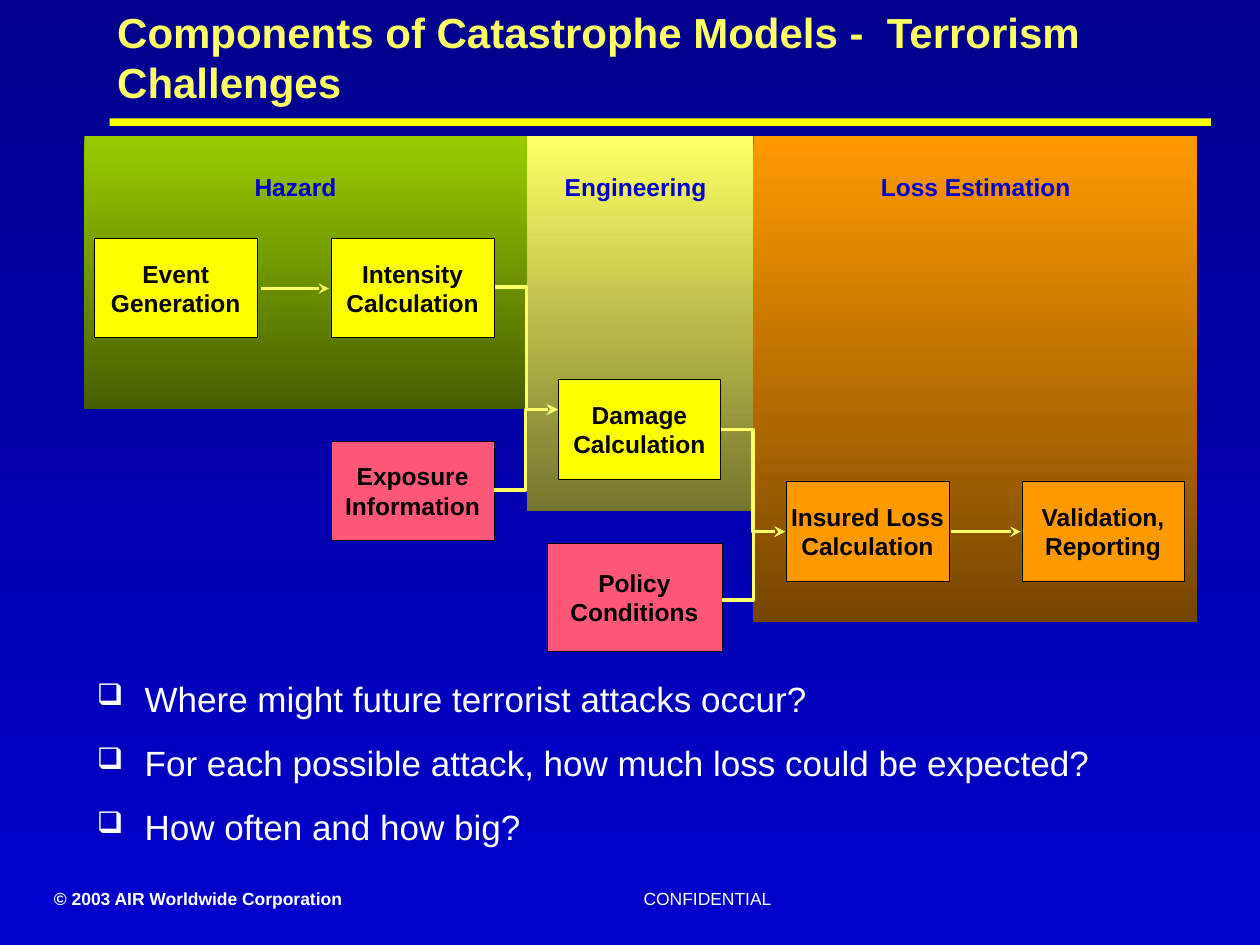
import pptx
import pptx.dml.color
import pptx.enum.shapes
import pptx.enum.text
import pptx.oxml
import pptx.oxml.ns
import pptx.util
import lxml.etree

ALIGN = pptx.enum.text.PP_ALIGN
ANCHOR = pptx.enum.text.MSO_ANCHOR
RECTANGLE = pptx.enum.shapes.MSO_SHAPE.RECTANGLE
qn = pptx.oxml.ns.qn


def hue(code):
    return pptx.dml.color.RGBColor.from_string(code)


def write(frame, text, size=14, color="000000", bold=True, align=ALIGN.LEFT,
          anchor=ANCHOR.TOP, wrap=True, bullet=None, before=0, after=0):
    frame.word_wrap = wrap
    frame.vertical_anchor = anchor
    for index, line in enumerate(text.split("\n")):
        paragraph = frame.add_paragraph() if index else frame.paragraphs[0]
        paragraph.alignment = align
        paragraph.space_before = pptx.util.Pt(before if index else 0)
        paragraph.space_after = pptx.util.Pt(after)
        if bullet:
            properties = paragraph._p.get_or_add_pPr()
            indent = pptx.util.Inches(0.38)
            properties.set("marL", str(indent))
            properties.set("indent", str(-indent))
            tint = lxml.etree.SubElement(properties, qn("a:buClr"))
            lxml.etree.SubElement(tint, qn("a:srgbClr"), val=color)
            lxml.etree.SubElement(properties, qn("a:buSzPct"), val="85000")
            lxml.etree.SubElement(properties, qn("a:buChar"), char=bullet)
        run = paragraph.add_run()
        run.text = line
        run.font.name = "Arial"
        run.font.size = pptx.util.Pt(size)
        run.font.bold = bold
        run.font.color.rgb = hue(color)


deck = pptx.Presentation()
deck.slide_width = pptx.util.Inches(10)
deck.slide_height = pptx.util.Inches(7.5)
col = deck.slide_width // 100
row = deck.slide_height // 75
slide = deck.slides.add_slide(deck.slide_layouts[5])
shapes = slide.shapes

rule = shapes.add_shape(RECTANGLE, int(8.7 * col), int(9.4 * row), int(87.4 * col), int(0.6 * row))
rule.shadow.inherit = False
rule.fill.solid()
rule.fill.fore_color.rgb = hue("FFFF00")
rule.line.fill.background()

title = shapes.title
title.left, title.top = int(8.3 * col), 0
title.width, title.height = int(89.2 * col), 9 * row
write(title.text_frame, "Components of Catastrophe Models -  Terrorism Challenges",
      size=24, color="FFFF66", anchor=ANCHOR.MIDDLE)

gradients = [(slide.background.fill, "00008D", "0000CC")]
stages = [
    (59.8, 35.2, 38.6, "FF9900", "754600"),
    (6.7, 35.2, 21.7, "99CC00", "465E00"),
    (41.8, 18, 29.8, "FFFF66", "75752F"),
]
for left, width, height, upper, lower in stages:
    stage = shapes.add_shape(RECTANGLE, int(left * col), int(10.8 * row),
                             int(width * col), int(height * row))
    stage.shadow.inherit = False
    stage.line.fill.background()
    gradients.append((stage.fill, upper, lower))

for fill, upper, lower in gradients:
    fill.gradient()
    fill.gradient_angle = 270
    for stop, code in zip(fill.gradient_stops, (upper, lower)):
        stop.color.rgb = hue(code)

step_size = (12.9, 7.9)
steps = [
    ("Event\nGeneration", 7.5, 18.9, step_size, "FFFF00"),
    ("Intensity\nCalculation", 26.3, 18.9, step_size, "FFFF00"),
    ("Exposure\nInformation", 26.3, 35, step_size, "FF5777"),
    ("Damage\nCalculation", 44.3, 30.1, step_size, "FFFF00"),
    ("Policy\nConditions", 43.4, 43.1, (13.9, 8.6), "FF5777"),
    ("Insured Loss\nCalculation", 62.4, 38.2, step_size, "FF9900"),
    ("Validation,\nReporting", 81.1, 38.2, step_size, "FF9900"),
]
for text, left, top, (width, height), code in steps:
    step = shapes.add_shape(RECTANGLE, int(left * col), int(top * row),
                            int(width * col), int(height * row))
    step.shadow.inherit = False
    step.fill.solid()
    step.fill.fore_color.rgb = hue(code)
    step.line.color.rgb = hue("000000")
    step.line.width = pptx.util.Pt(0.25)
    write(step.text_frame, text, align=ALIGN.CENTER, anchor=ANCHOR.MIDDLE, wrap=False)

flows = [
    (20.7, 22.9, 26.1, 22.9),
    (75.5, 42.2, 81, 42.2),
    (57.3, 47.6, 62.3, 42.2),
    (57.2, 34.1, 62.3, 42.2),
    (39.2, 38.9, 44.2, 32.5),
    (39.3, 22.8, 44.3, 32.5),
]
for flow in flows:
    x1, y1, x2, y2 = (int(value * unit) for value, unit in zip(flow, (col, row, col, row)))
    if y1 == y2:
        arrow = shapes.add_connector(pptx.enum.shapes.MSO_CONNECTOR.STRAIGHT, x1, y1, x2, y2)
    else:
        middle = (x1 + x2) // 2
        outline = shapes.build_freeform(x1, y1)
        outline.add_line_segments([(middle, y1), (middle, y2), (x2, y2)], close=False)
        arrow = outline.convert_to_shape()
        arrow.fill.background()
    arrow.line.color.rgb = hue("FFFF66")
    arrow.line.width = pptx.util.Pt(2)
    properties = arrow._element.spPr
    lxml.etree.SubElement(properties.find(qn("a:ln")), qn("a:tailEnd"), type="stealth")
    lxml.etree.SubElement(properties, qn("a:effectLst"))

heading = dict(color="0000CC", align=ALIGN.CENTER)
captions = [
    ("Engineering", 43.5, 13.2, 13.9, 3.4, heading),
    ("Hazard", 16.5, 13.2, 13.9, 3.4, heading),
    ("Loss Estimation", 62.3, 13.2, 30.3, 3.4, heading),
    ("Where might future terrorist attacks occur?\n"
     "For each possible attack, how much loss could be expected?\n"
     "How often and how big?", 6.7, 53.3, 86.7, 15.1,
     dict(size=20, color="FFFFFF", bold=False, bullet="❑", before=10, after=2.5)),
    ("© 2003 AIR Worldwide Corporation", 3.3, 70, 26.1, 2.7, dict(size=10, color="FFFFFF")),
    ("CONFIDENTIAL", 49.1, 70, 14.1, 2.7,
     dict(size=10, color="FFFFFF", bold=False, align=ALIGN.CENTER)),
]
for text, left, top, width, height, style in captions:
    caption = shapes.add_textbox(int(left * col), int(top * row), int(width * col), int(height * row))
    write(caption.text_frame, text, **style)

deck.save("out.pptx")
